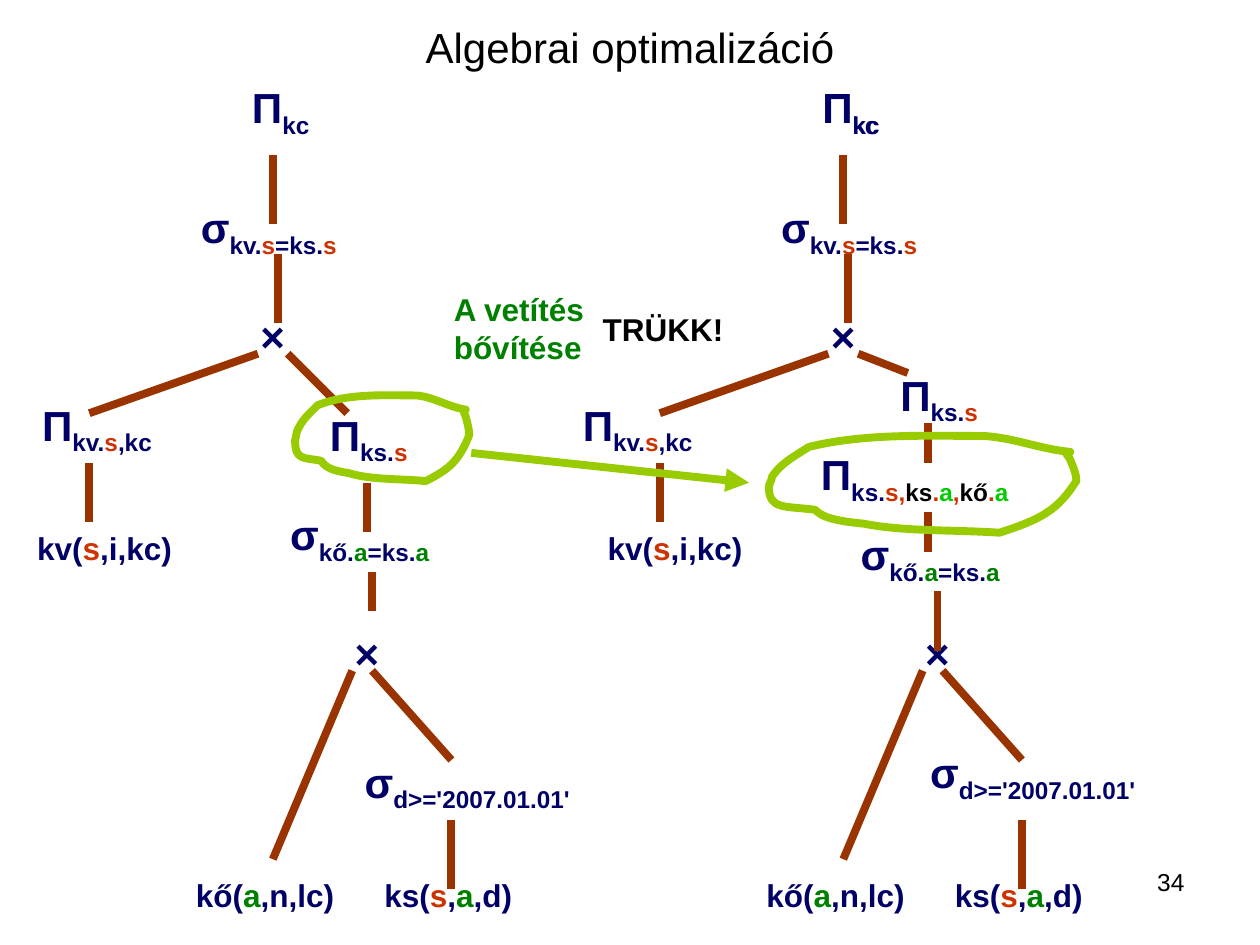
from lxml import etree
from pptx import Presentation
from pptx.dml.color import RGBColor
from pptx.enum.shapes import MSO_CONNECTOR
from pptx.enum.text import MSO_ANCHOR, MSO_AUTO_SIZE, PP_ALIGN
from pptx.oxml.ns import qn
from pptx.util import Cm, Pt

STRAIGHT = MSO_CONNECTOR.STRAIGHT
TOP, MIDDLE = MSO_ANCHOR.TOP, MSO_ANCHOR.MIDDLE
FIT, FIXED = MSO_AUTO_SIZE.SHAPE_TO_FIT_TEXT, MSO_AUTO_SIZE.NONE
LEFT, CENTER, RIGHT = PP_ALIGN.LEFT, PP_ALIGN.CENTER, PP_ALIGN.RIGHT

NAVY, RED, GREEN, BLACK = "000066", "CC3300", "008000", "000000"
BROWN, LIME, BRIGHT = "993300", "99CC00", "00CC00"
SHIFT = 11.5  # from the left tree to the right one, in cm

# A run is a string in the base colour, or (string, colour)
S, A = ("s", RED), ("a", GREEN)
DOT, COMMA, KEY = (".", RED), (",", RED), ("a", BRIGHT)

# Operators: head, subscript runs, width, (x, y) in each tree
OPS = [
    ("Π", ["kc"], 1.7, (4.83, 1.52), (16.33, 1.52)),
    ("σ", ["kv.", S, "=ks.", S], 7.8, (3.8, 3.94), (15.5, 3.94)),
    ("×", [], 2.4, (5, 6.13), (16.5, 6.13)),
    ("Π", ["kv.", S, ",kc"], 4.6, (0.6, 7.92), (11.5, 7.92)),
    ("Π", ["ks.", S], 6.4, (6.4, 8.13), (17.9, 7.32)),
    ("Π", ["ks.", ("s,", RED), ("ks", BLACK), DOT, KEY, COMMA,
           ("kő", BLACK), DOT, KEY], 6.4, None, (16.3, 8.92)),
    ("σ", ["kő.", A, "=ks.", A], 6, (5.6, 10.13), (17.1, 10.53)),
    ("×", [], 2.6, (6.9, 12.52), (18.4, 12.52)),
    ("σ", ["d>='2007.01.01'"], 5.59, (7.1, 15.12), (18.5, 14.93)),
]
# Tables at the leaves: runs, width, x and y in the left tree
LEAVES = [
    (["kv(", S, ",i,kc)"], 3.81, 0.5, 10.53),
    (["kő(", A, ",n,lc)"], 3.4, 3.7, 17.53),
    (["ks(", S, ",", A, ",d)"], 3.4, 7.5, 17.53),
]
# Branches: x1, y1, x2, y2
SHARED = [
    (5.5, 3.12, 5.5, 4.52), (5.6, 5.12, 5.6, 6.52),
    (5.2, 7.13, 1.8, 8.33), (1.8, 9.33, 1.8, 10.53),
    (7.1, 13.52, 5.5, 17.32), (7.5, 13.52, 9.1, 15.32),
    (9.1, 16.53, 9.1, 17.93),
]
OWN = [
    (5.8, 7.13, 7, 8.33), (7.4, 9.73, 7.4, 10.72),
    (7.5, 11.53, 7.5, 12.32),
    (17.3, 7.13, 18.3, 7.52), (18.7, 8.53, 18.7, 9.33),
    (18.7, 10.32, 18.7, 11.13), (18.9, 11.92, 18.9, 13.13),
]
ARROW = (9.5, 9.13, 15.1, 9.73)
# Hand-drawn ring: start, then cubic curves, in percent of its frame
START = (98, 19)
CURVES = [
    ((88, 16), (80, 5), (70, 3)), ((53, 3), (31, 0), (13, 14)),
    ((8, 24), (4, 30), (1, 44)), ((1, 48), (0, 51), (0, 54)),
    ((0, 77), (5, 73), (15, 77)), ((18, 87), (25, 89), (31, 91)),
    ((44, 99), (61, 97), (75, 100)), ((89, 86), (94, 77), (100, 48)),
    ((100, 42), (99, 34), (98, 27)), ((97, 20), (96, 23), (98, 19)),
]
RINGS = [(5.95, 7.92, 3.51, 1.78), (15.5, 8.73, 6.2, 2.01)]

deck = Presentation()
deck.slide_width, deck.slide_height = Cm(25.4), Cm(19.05)
slide = deck.slides.add_slide(deck.slide_layouts[6])
shapes = slide.shapes


def paint(text):
    return RGBColor.from_string(text)


def write(runs, x, y, w, h, sub=(), size=24, color=NAVY, bold=True,
          align=LEFT, anchor=TOP, fit=FIT, wrap=True):
    """Add a text box; the runs in sub are set as subscript."""
    frame = shapes.add_textbox(Cm(x), Cm(y), Cm(w), Cm(h)).text_frame
    frame.word_wrap, frame.auto_size = wrap, fit
    frame.vertical_anchor = anchor
    para = frame.paragraphs[0]
    para.alignment = align
    for part, base in [(r, 0) for r in runs] + [(r, -25000) for r in sub]:
        text, tone = (part, color) if isinstance(part, str) else part
        run = para.add_run()
        run.text = text
        font = run.font
        font.name, font.size, font.bold = "Arial", Pt(size), bold
        font.color.rgb = paint(tone)
        if base:
            run._r.get_or_add_rPr().set("baseline", str(base))


def link(x1, y1, x2, y2, color=BROWN, arrow=False):
    line = shapes.add_connector(STRAIGHT, Cm(x1), Cm(y1), Cm(x2), Cm(y2))
    line.line.color.rgb, line.line.width = paint(color), Pt(4.5)
    if arrow:
        etree.SubElement(line.line._get_or_add_ln(), qn("a:tailEnd"),
                         type="triangle")
    etree.SubElement(line._element.spPr, qn("a:effectLst"))


def bend(shape):
    """Turn each three line segments of a freeform into a cubic curve."""
    track = shape._element.find(".//" + qn("a:path"))
    legs = track.findall(qn("a:lnTo"))
    for i in range(0, len(legs), 3):
        first, *more = legs[i:i + 3]
        first.tag = qn("a:cubicBezTo")
        for leg in more:
            first.append(leg[0])
            track.remove(leg)


def ring(x, y, w, h):
    spots = [START] + [spot for curve in CURVES for spot in curve]
    first, *rest = [(Cm(x + w * px / 100), Cm(y + h * py / 100))
                    for px, py in spots]
    pen = shapes.build_freeform(*first)
    pen.add_line_segments(rest, close=True)
    shape = pen.convert_to_shape()
    bend(shape)
    shape.shadow.inherit = False
    shape.fill.background()
    shape.line.color.rgb, shape.line.width = paint(LIME), Pt(4.5)


write(["Algebrai optimalizáció"], 1.27, 0.76, 22.86, 0.36, color=BLACK,
      bold=False, align=CENTER, anchor=MIDDLE, fit=FIXED)
write(["A vetítés bővítése"], 8.9, 5.72, 5.21, 1.78, size=18, color=GREEN)
write(["TRÜKK!"], 11.9, 6.12, 3.4, 1.02, size=18, color=BLACK)
write(["Π"], 16.33, 1.52, 1.65, 1.42, sub=["kc"], bold=False, wrap=False)

for head, sub, wide, *spots in OPS:
    for spot in filter(None, spots):
        write([head], *spot, wide, 1.42 if sub else 1.27, sub=sub,
              wrap=sub != ["kc"])

for dx in (0, SHIFT):
    for runs, wide, x, y in LEAVES:
        write(runs, x + dx, y, wide, 1.02, size=18)
    for x1, y1, x2, y2 in SHARED:
        link(x1 + dx, y1, x2 + dx, y2)

for ends in OWN:
    link(*ends)
for box in RINGS:
    ring(*box)
link(*ARROW, color=LIME, arrow=True)
write(["34"], 18.21, 17.35, 5.92, 1.32, size=14, color=BLACK, bold=False,
      align=RIGHT, fit=FIXED)

deck.save("out.pptx")
